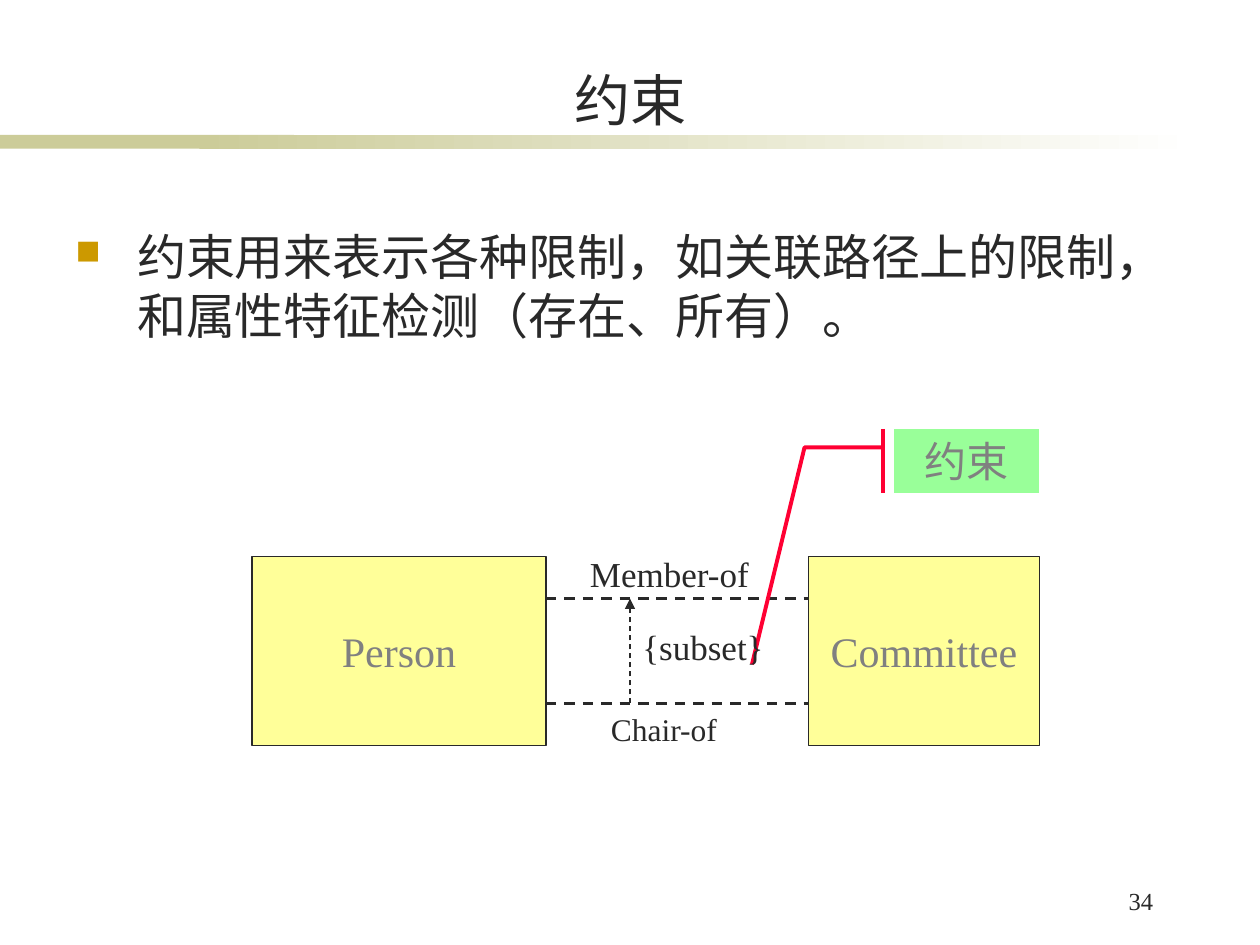
from lxml import etree
from pptx import Presentation
from pptx.dml.color import RGBColor
from pptx.enum.dml import MSO_LINE as Dash
from pptx.enum.shapes import MSO_CONNECTOR as Conn, MSO_SHAPE as Shape
from pptx.enum.text import MSO_ANCHOR as Anchor, PP_ALIGN as Align
from pptx.oxml.ns import qn
from pptx.util import Inches, Pt

INK = RGBColor(0x29, 0x29, 0x29)
GRAY = RGBColor(0x80, 0x80, 0x80)
WHITE = RGBColor(0xFF, 0xFF, 0xFF)
OLIVE = RGBColor(0xCC, 0xCC, 0x99)
GOLD = RGBColor(0xCC, 0x99, 0x00)
CREAM = RGBColor(0xFF, 0xFF, 0x99)
GREEN = RGBColor(0x99, 0xFF, 0x99)
RED = RGBColor(0xFF, 0x00, 0x33)


class Deck:
    """Style and current slide; lengths are cells of a 120 by 90 grid."""
    font = "Times New Roman"
    cell = Inches(1) / 12

    def __init__(self):
        self.prs = Presentation()
        self.prs.slide_width, self.prs.slide_height = Inches(10), Inches(7.5)
        self.slide = self.prs.slides.add_slide(self.prs.slide_layouts[6])

    def grid(self, *cells):
        return [round(c * self.cell) for c in cells]

    def letter(self, shape, text, size, color, align, anchor, wrap=True):
        frame = shape.text_frame
        frame.text = text
        frame.word_wrap = wrap
        frame.vertical_anchor = anchor
        para = frame.paragraphs[0]
        para.alignment = align
        font = para.runs[0].font
        font.name, font.size, font.color.rgb = self.font, Pt(size), color
        return para

    def label(self, box, text, size, align=Align.LEFT, anchor=Anchor.TOP):
        shape = self.slide.shapes.add_textbox(*self.grid(*box))
        return self.letter(shape, text, size, INK, align, anchor)

    def bullet(self, box, text, size):
        props = self.label(box, text, size)._p.get_or_add_pPr()
        props.set("marL", str(Inches(0.49)))
        props.set("indent", str(-Inches(0.49)))
        tint = etree.SubElement(props, qn("a:buClr"))
        etree.SubElement(tint, qn("a:srgbClr"), val=str(GOLD))
        etree.SubElement(props, qn("a:buSzPct"), val="70000")
        etree.SubElement(props, qn("a:buChar"), char="■")

    def shape(self, box, fill, kind=Shape.RECTANGLE, line=None, width=1):
        shape = self.slide.shapes.add_shape(kind, *self.grid(*box))
        shape.shadow.inherit = False
        shape.fill.solid()
        shape.fill.fore_color.rgb = fill
        if line is None:
            shape.line.fill.background()
        else:
            shape.line.color.rgb, shape.line.width = line, Pt(width)
        return shape

    def fade(self, box, start, end):
        fill = self.shape(box, start).fill
        fill.gradient()
        fill.gradient_angle = 0
        for stop, color in zip(fill.gradient_stops, (start, end)):
            stop.color.rgb = color

    def entity(self, box, text):
        shape = self.shape(box, CREAM, line=INK)
        self.letter(shape, text, 24, GRAY, Align.CENTER, Anchor.MIDDLE, False)

    def callout(self, box, text, bends):
        shape = self.shape(box, GREEN, Shape.LINE_CALLOUT_2_ACCENT_BAR, RED, 2.25)
        for i, bend in enumerate(bends):
            shape.adjustments[i] = bend
        self.letter(shape, text, 24, GRAY, Align.CENTER, Anchor.MIDDLE)

    def dashed(self, ends, width, arrow=False):
        link = self.slide.shapes.add_connector(Conn.STRAIGHT, *self.grid(*ends))
        link.line.color.rgb, link.line.width = INK, Pt(width)
        link.line.dash_style = Dash.DASH
        props = link._element.spPr
        if arrow:
            etree.SubElement(props.get_or_add_ln(), qn("a:tailEnd"), type="triangle")
        etree.SubElement(props, qn("a:effectLst"))


def main():
    deck = Deck()

    # Header band and title
    deck.shape((0, 12.85, 28, 1.3), OLIVE)
    deck.fade((19, 12.85, 95, 1.3), OLIVE, WHITE)
    deck.label((6.1, 5.3, 108, 7.9), "约束", 32, Align.CENTER, Anchor.BOTTOM)

    # Body and page number
    deck.bullet((6, 21, 108, 14),
                "约束用来表示各种限制，如关联路径上的限制，和属性特征检测（存在、所有）。", 28)
    deck.label((98.8, 83.8, 12.2, 4.7), "34", 14, Align.RIGHT)

    # Entities and the two associations between them
    left, right, upper, lower = 52, 77, 57, 67
    deck.entity((24, 53, left - 24, 18), "Person")
    deck.entity((right, 53, 22, 18), "Committee")
    for row in (upper, lower):
        deck.dashed((left, row, right, row), 1.5)
    deck.label((55, 52, 19, 5.3), "Member-of", 20)
    deck.label((57, lower, 19, 4.8), "Chair-of", 18)

    # Subset constraint and its callout
    deck.callout((85.1, 40.85, 13.9, 6.06), "约束",
                 (0.29, -0.07, 0.29, -0.61, 3.7, -0.97))
    deck.label((60, 59, 16, 5.3), "{subset}", 20)
    deck.dashed((60, lower, 60, upper), 0.75, arrow=True)

    deck.prs.save("out.pptx")


if __name__ == "__main__":
    main()
